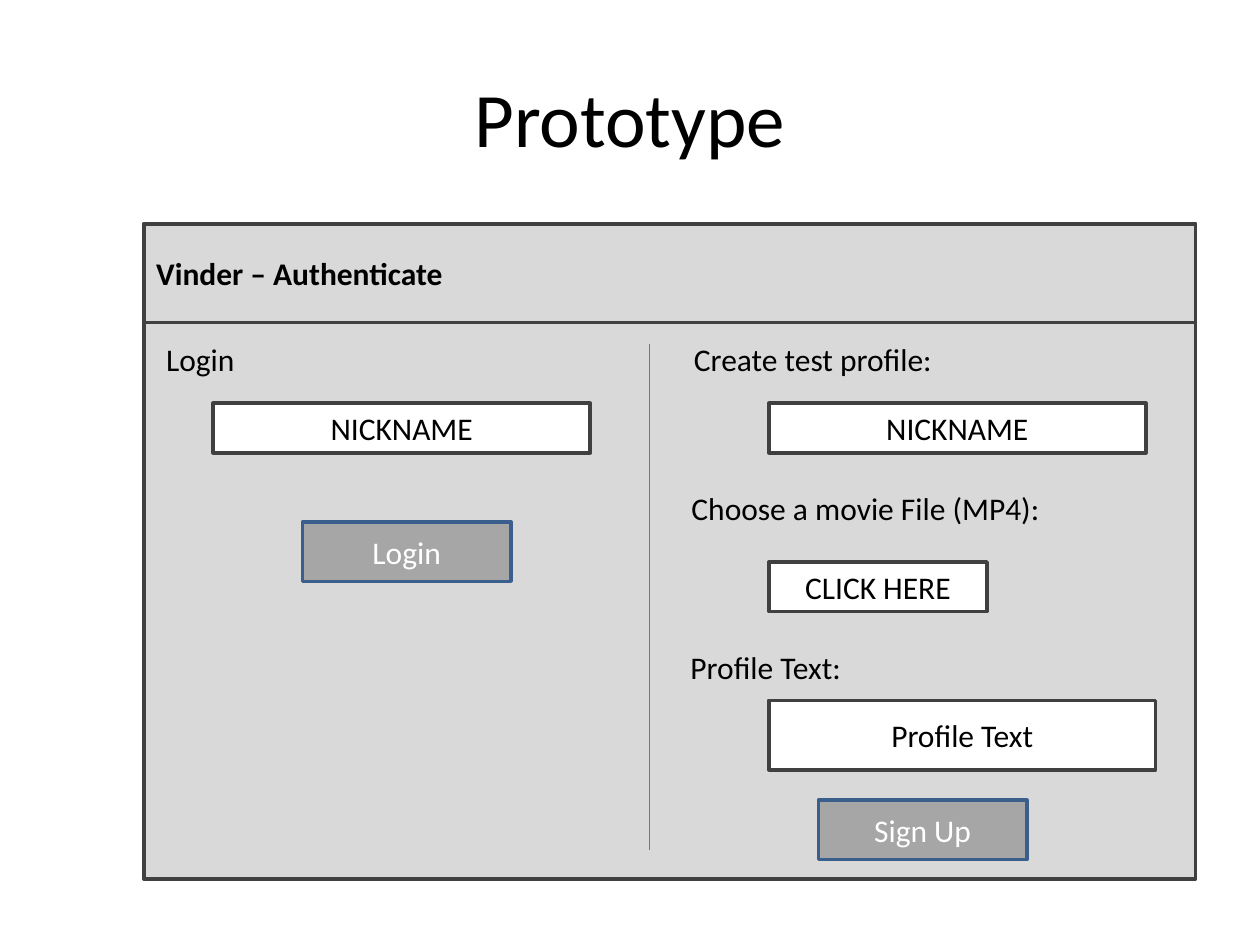
from lxml.etree import SubElement
from pptx import Presentation
from pptx.dml.color import RGBColor
from pptx.enum.shapes import MSO_CONNECTOR as Connector, MSO_SHAPE as Shape
from pptx.enum.text import MSO_ANCHOR as Anchor, MSO_AUTO_SIZE as AutoSize, PP_ALIGN as Align
from pptx.oxml.ns import qn
from pptx.util import Cm, Pt


def color(value):
    return RGBColor.from_string(value)


def write(shape, text, align, ink="000000", **font_format):
    frame = shape.text_frame
    frame.vertical_anchor = Anchor.MIDDLE
    paragraph = frame.paragraphs[0]
    paragraph.alignment = align
    run = paragraph.add_run()
    run.text = text
    run.font.color.rgb = color(ink)
    for name, value in ({"name": "Calibri", "size": Pt(18)} | font_format).items():
        setattr(run.font, name, value)


prs = Presentation()
prs.slide_width, prs.slide_height = Cm(25.4), Cm(19.05)
slide = prs.slides.add_slide(prs.slide_layouts[6])
shapes = slide.shapes

title = shapes.add_textbox(Cm(1.27), Cm(0.76), Cm(22.86), Cm(3.18))
title.text_frame.word_wrap = True
write(title, "Prototype", Align.CENTER, size=Pt(44))

window = {"fill": "D9D9D9", "line": "404040", "ink": "000000", "align": Align.LEFT, "bold": True}
field = {"fill": "FFFFFF", "line": "404040", "ink": "000000", "align": Align.CENTER, "bold": False}
button = {"fill": "A6A6A6", "line": "3A5F8C", "ink": "FFFFFF", "align": Align.CENTER, "bold": False}

login_left, signup_left = 4.3, 15.5
nickname_top = 8.13
boxes = [
    ("", 2.9, 4.52, 21.2, 13.2, window),
    ("Vinder – Authenticate", 2.9, 4.52, 21.2, 1.98, window),
    ("NICKNAME", login_left, nickname_top, 7.6, 1, field),
    ("Login", login_left + 1.8, 10.52, 4.2, 1.2, button),
    ("NICKNAME", signup_left, nickname_top, 7.6, 1, field),
    ("CLICK HERE", signup_left, 11.33, 4.4, 1, field),
    ("Profile Text", signup_left, 14.12, 7.8, 1.4, field),
    ("Sign Up", signup_left + 1, 16.13, 4.2, 1.2, button),
]
for text, left, top, width, height, style in boxes:
    box = shapes.add_shape(Shape.RECTANGLE, Cm(left), Cm(top), Cm(width), Cm(height))
    box.shadow.inherit = False
    box.fill.solid()
    box.fill.fore_color.rgb = color(style["fill"])
    box.line.color.rgb = color(style["line"])
    box.line.width = Pt(2)
    if text:
        write(box, text, style["align"], style["ink"], bold=style["bold"])

labels = [
    ("Login", 3.1, 6.73, 1.9),
    ("Create test profile:", 13.74, 6.73, 5.36),
    ("Choose a movie File (MP4):", 13.69, 9.73, 7.62),
    ("Profile Text:", 13.67, 12.93, 3.58),
]
for text, left, top, width in labels:
    label = shapes.add_textbox(Cm(left), Cm(top), Cm(width), Cm(1.03))
    label.text_frame.word_wrap = False
    label.text_frame.auto_size = AutoSize.SHAPE_TO_FIT_TEXT
    write(label, text, Align.LEFT)

divider = shapes.add_connector(Connector.STRAIGHT, Cm(13.1), Cm(6.93), Cm(13.1), Cm(17.13))
divider.line.color.rgb = color("4B7EBC")
divider.line.width = Pt(0.75)
SubElement(divider._element.spPr, qn("a:effectLst"))

prs.save("out.pptx")
